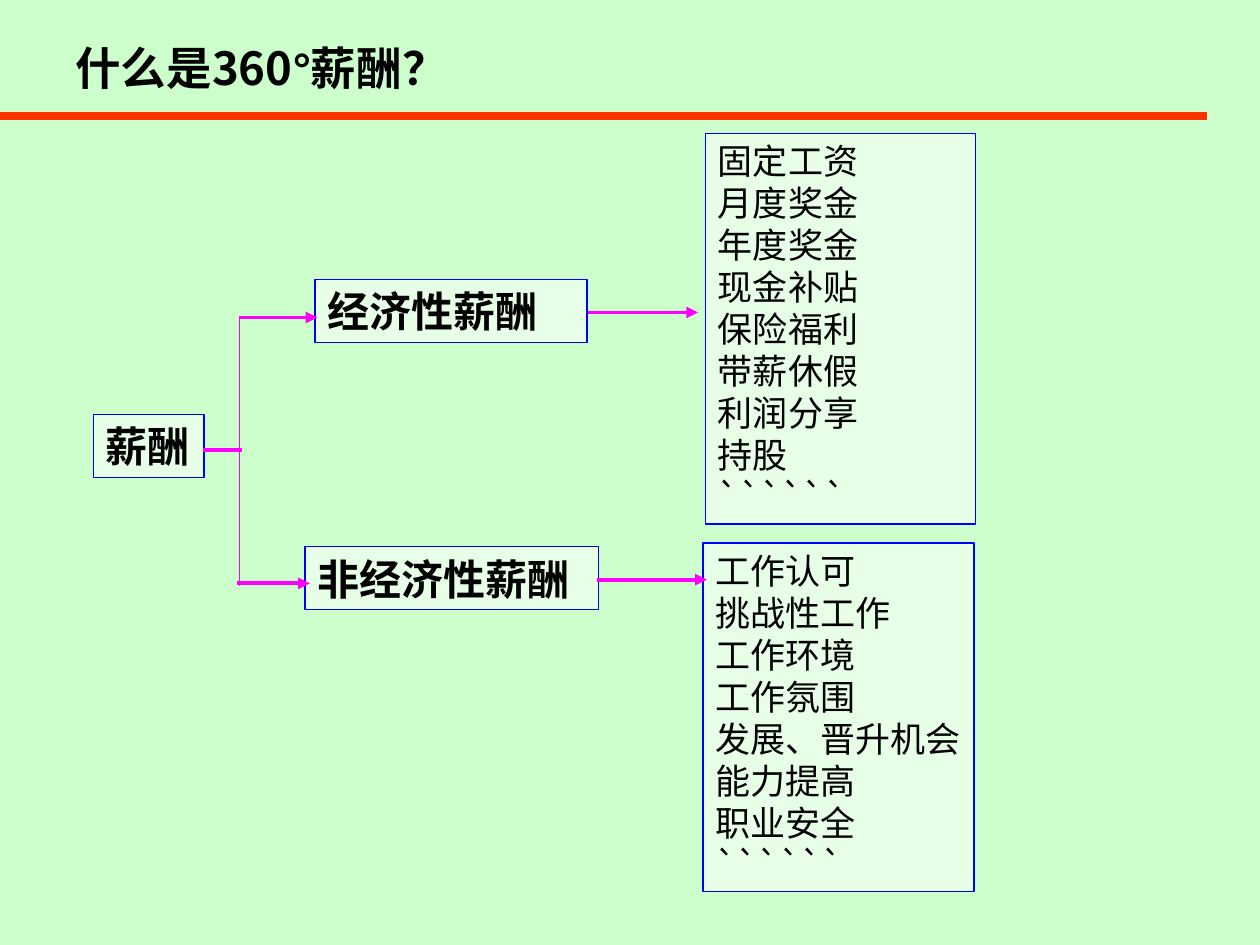
from lxml.etree import SubElement
from pptx import Presentation
from pptx.dml.color import RGBColor
from pptx.enum.shapes import MSO_CONNECTOR as Connector, MSO_SHAPE as Shape
from pptx.enum.text import MSO_ANCHOR as Anchor, MSO_AUTO_SIZE as AutoSize, PP_ALIGN as Align
from pptx.oxml.ns import qn
from pptx.util import Inches, Pt

# Content
TITLE = [("什么是360", "Noto Sans CJK SC"), ("°", "Arial"), ("薪酬？", "Noto Sans CJK SC")]
ECONOMIC = ["固定工资", "月度奖金", "年度奖金", "现金补贴", "保险福利",
            "带薪休假", "利润分享", "持股", "``````"]
NON_ECONOMIC = ["工作认可", "挑战性工作", "工作环境", "工作氛围",
                "发展、晋升机会", "能力提高", "职业安全", "``````"]

# Format
FONT = "Noto Sans CJK SC"
HEADING = {"size": Pt(24), "bold": True}
ITEM = {"size": Pt(20), "bold": False}
BACKGROUND, BOX_FILL, BOX_LINE = "CCFFCC", "E7FFE7", "0000FF"
RULE, ARROW, BLACK = "FF3300", "FF00FF", "000000"
PAD = 0.05            # top and bottom inset, inches
LINES_PER_INCH = 60   # a line is its size in points over 60, in inches

# Boxes: left, top, width, lines, format, wrap
BOXES = [
    (0.74, 3.29, 0.88, ["薪酬"], HEADING, False),
    (2.5, 2.22, 2.16, ["经济性薪酬"], HEADING, True),
    (2.42, 4.34, 2.33, ["非经济性薪酬"], HEADING, True),
    (5.6, 1.06, 2.14, ECONOMIC, ITEM, True),
    (5.58, 4.31, 2.15, NON_ECONOMIC, ITEM, False),
]

# Lines: start, end, colour, width in points, arrowhead
TRUNK, UPPER, LOWER = 1.9, 2.52, 4.63
LINES = [
    ((4.67, 2.48), (5.54, 2.48), ARROW, 2.25, True),
    ((4.74, 4.6), (5.61, 4.6), ARROW, 2.25, True),
    ((TRUNK, UPPER), (2.52, UPPER), ARROW, 2.25, True),
    ((1.88, LOWER), (2.46, LOWER), ARROW, 2.25, True),
    ((TRUNK, UPPER), (TRUNK, 4.65), ARROW, 0.75, False),
    ((1.61, 3.57), (1.92, 3.57), ARROW, 2.25, False),
]


def rgb(colour):
    return RGBColor.from_string(colour)


def add_run(paragraph, text, style, font_name=FONT):
    run = paragraph.add_run()
    run.text = text
    for key, value in {**style, "name": font_name}.items():
        setattr(run.font, key, value)
    run.font.color.rgb = rgb(BLACK)
    # East Asian characters take their own typeface
    SubElement(run.font._element, qn("a:ea")).set("typeface", FONT)


def set_frame(frame, wrap):
    layout = {"word_wrap": wrap, "auto_size": AutoSize.SHAPE_TO_FIT_TEXT,
              "vertical_anchor": Anchor.TOP,
              "margin_left": Inches(0.1), "margin_right": Inches(0.1),
              "margin_top": Inches(PAD), "margin_bottom": Inches(PAD)}
    for key, value in layout.items():
        setattr(frame, key, value)


def add_box(slide, left, top, width, lines, style, wrap):
    height = 2 * PAD + len(lines) * style["size"].pt / LINES_PER_INCH
    box = slide.shapes.add_shape(Shape.RECTANGLE, *map(Inches, (left, top, width, height)))
    box.shadow.inherit = False
    box.fill.solid()
    box.fill.fore_color.rgb = rgb(BOX_FILL)
    box.line.color.rgb = rgb(BOX_LINE)
    box.line.width = Pt(0.75)
    frame = box.text_frame
    set_frame(frame, wrap)
    for index, text in enumerate(lines):
        paragraph = frame.add_paragraph() if index else frame.paragraphs[0]
        paragraph.alignment = Align.LEFT
        add_run(paragraph, text, style)


def add_line(slide, start, end, colour, width, arrowhead):
    line = slide.shapes.add_connector(Connector.STRAIGHT, *map(Inches, start + end))
    line.line.color.rgb = rgb(colour)
    line.line.width = Pt(width)
    if arrowhead:
        SubElement(line.line._get_or_add_ln(), qn("a:tailEnd")).set("type", "triangle")
    SubElement(line._element.spPr, qn("a:effectLst"))


def main():
    deck = Presentation()
    deck.slide_width, deck.slide_height = Inches(10), Inches(7.5)
    slide = deck.slides.add_slide(deck.slide_layouts[6])
    slide.background.fill.solid()
    slide.background.fill.fore_color.rgb = rgb(BACKGROUND)

    # Title and the rule under it
    title = slide.shapes.add_textbox(*map(Inches, (0.5, -0.08, 6.75, 0.88))).text_frame
    set_frame(title, True)
    title.paragraphs[0].line_spacing = 1.8
    for text, font_name in TITLE:
        add_run(title.paragraphs[0], text, {"size": Pt(26), "bold": True}, font_name)
    add_line(slide, (0, 0.92), (9.58, 0.92), RULE, 4.5, False)

    # Tree of pay types
    for box in BOXES:
        add_box(slide, *box)
    for line in LINES:
        add_line(slide, *line)

    deck.save("out.pptx")


if __name__ == "__main__":
    main()
